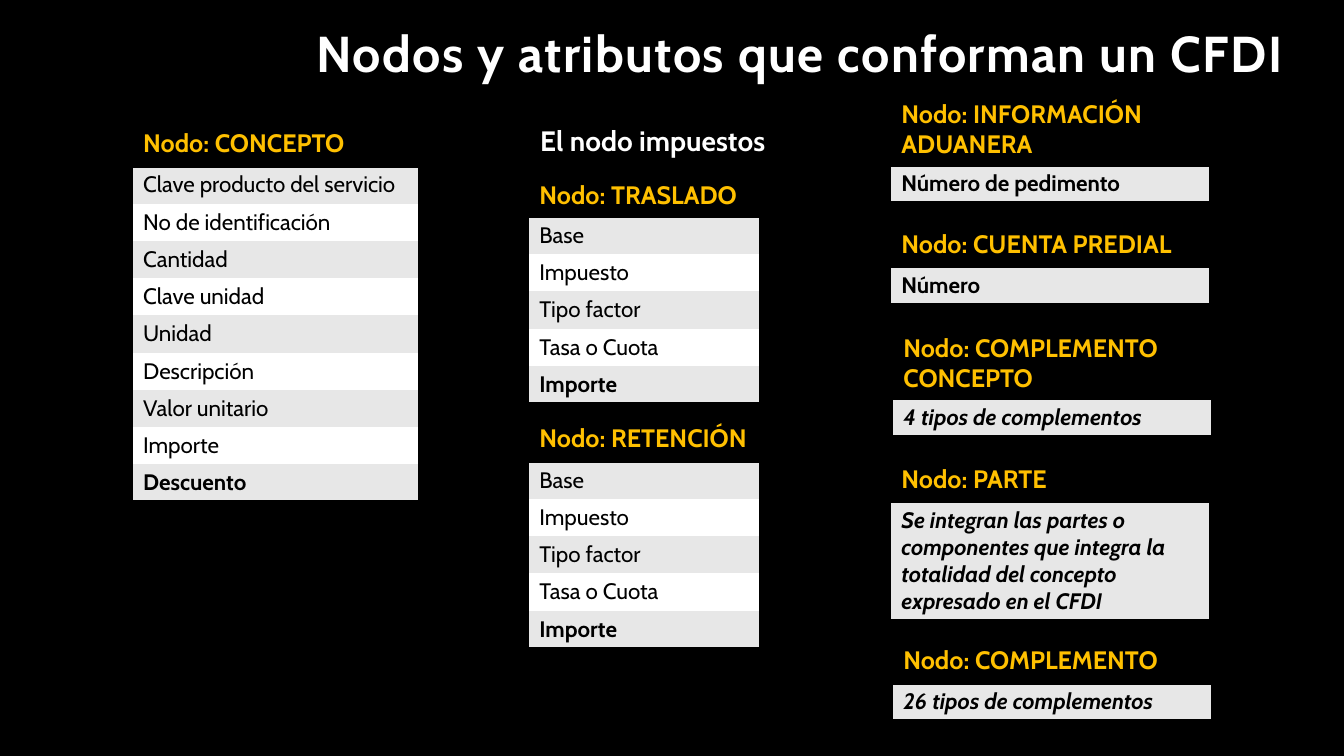
from dataclasses import dataclass

from lxml import etree
from pptx import Presentation
from pptx.dml.color import RGBColor
from pptx.enum import text
from pptx.oxml import ns
from pptx.util import Inches, Pt


@dataclass(frozen=True)
class Theme:
    font: str = "Cabin"
    background: str = "000000"
    white: str = "FFFFFF"
    heading: str = "FFC000"
    band: str = "E7E7E7"
    ink: str = "000000"
    title_size: int = 36
    subtitle_size: int = 20
    heading_size: int = 18
    body_size: int = 16


theme = Theme()
NO_STYLE = "{2D5ABB26-0587-4C30-8999-92F81FD0307C}"
ROW = 0.37
HEADER = 0.43
TWO_LINE_HEADER = 0.71


def write(frame, wording, size, color, bold=True, italic=False):
    frame.text = wording
    font = frame.paragraphs[0].runs[0].font
    font.name = theme.font
    font.size = Pt(size)
    font.color.rgb = RGBColor.from_string(color)
    font.bold = bold
    font.italic = italic
    return font


def paint_cell(cell, color, edges):
    """Fill a cell and draw black 2 pt lines on the named edges (T, B)."""
    cell.fill.solid()
    cell.fill.fore_color.rgb = RGBColor.from_string(color)
    properties = cell._tc.get_or_add_tcPr()
    for position, edge in enumerate(edges):
        line = etree.Element(ns.qn(f"a:ln{edge}"), w=str(Pt(2)))
        fill = etree.SubElement(line, ns.qn("a:solidFill"))
        etree.SubElement(fill, ns.qn("a:srgbClr"), val=theme.background)
        properties.insert(position, line)


presentation = Presentation()
presentation.slide_width = Inches(13.33)
presentation.slide_height = Inches(7.5)
slide = presentation.slides.add_slide(presentation.slide_layouts[6])
slide.background.fill.solid()
slide.background.fill.fore_color.rgb = RGBColor.from_string(theme.background)

title = slide.shapes.add_textbox(Inches(3.04), Inches(0.17), Inches(10), Inches(0.71))
title.text_frame.word_wrap = True
title.text_frame.vertical_anchor = text.MSO_ANCHOR.BOTTOM
title_font = write(title.text_frame, "Nodos y atributos que conforman un CFDI",
                   theme.title_size, theme.white)
title_font._element.set("spc", "100")
title.text_frame.paragraphs[0].line_spacing = 0.9

subtitle = slide.shapes.add_textbox(Inches(5.26), Inches(1.18), Inches(2.77), Inches(0.44))
subtitle.text_frame.word_wrap = True
write(subtitle.text_frame, "El nodo impuestos", theme.subtitle_size, theme.white)
subtitle.text_frame.paragraphs[0].alignment = text.PP_ALIGN.JUSTIFY

tax_fields = ["Base", "Impuesto", "Tipo factor", "Tasa o Cuota", "Importe"]
concept_fields = ["Clave producto del servicio", "No de identificación", "Cantidad",
                  "Clave unidad", "Unidad", "Descripción", "Valor unitario",
                  "Importe", "Descuento"]
part_note = ("Se integran las partes o componentes que integra la totalidad "
             "del concepto expresado en el CFDI")

# left, top, width, header height, row height, italic, heading, fields
nodes = [
    (1.32, 1.22, 2.83, HEADER, ROW, False, "CONCEPTO", concept_fields),
    (5.25, 1.74, 2.28, 0.41, ROW, False, "TRASLADO", tax_fields),
    (5.25, 4.15, 2.28, HEADER, ROW, False, "RETENCIÓN", tax_fields),
    (8.84, 0.93, 3.15, TWO_LINE_HEADER, ROW, False, "INFORMACIÓN ADUANERA",
     ["Número de pedimento"]),
    (8.84, 2.22, 3.15, HEADER, ROW, False, "CUENTA PREDIAL", ["Número"]),
    (8.86, 3.25, 3.15, TWO_LINE_HEADER, ROW, True, "COMPLEMENTO CONCEPTO",
     ["4 tipos de complementos"]),
    (8.84, 4.55, 3.15, HEADER, 1.17, True, "PARTE", [part_note]),
    (8.86, 6.35, 3.15, HEADER, ROW, True, "COMPLEMENTO", ["26 tipos de complementos"]),
]

for left, top, width, header_height, row_height, italic, heading, fields in nodes:
    height = header_height + row_height * len(fields)
    frame = slide.shapes.add_table(len(fields) + 1, 1, Inches(left), Inches(top),
                                   Inches(width), Inches(height))
    table = frame.table
    table._tbl.tblPr.find(ns.qn("a:tableStyleId")).text = NO_STYLE
    table.rows[0].height = Inches(header_height)
    header = table.cell(0, 0)
    write(header.text_frame, f"Nodo: {heading}", theme.heading_size, theme.heading)
    paint_cell(header, theme.background, "TB")
    for number, field in enumerate(fields, start=1):
        is_last = number == len(fields)
        table.rows[number].height = Inches(row_height)
        cell = table.cell(number, 0)
        write(cell.text_frame, field, theme.body_size, theme.ink, is_last, italic)
        paint_cell(cell, theme.band if number % 2 else theme.white, "B" if is_last else "")

presentation.save("out.pptx")
